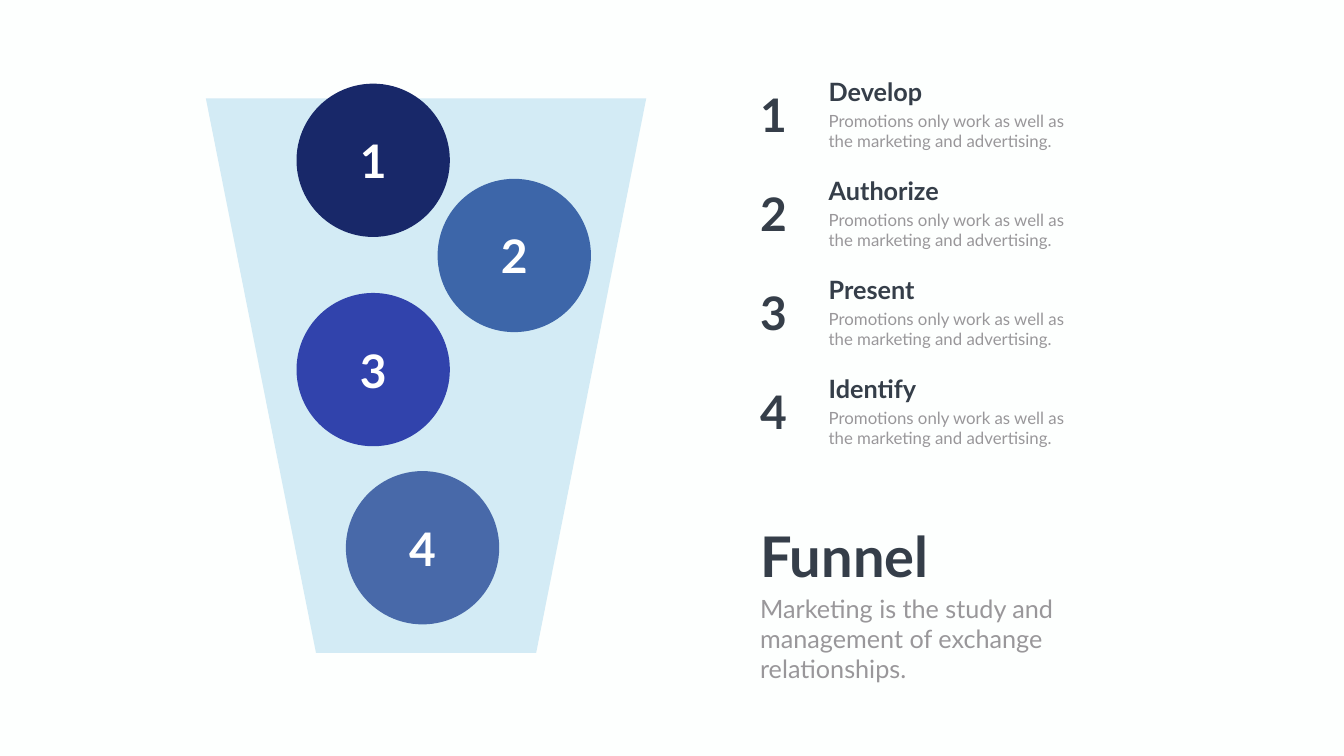
from dataclasses import dataclass

from pptx import Presentation
from pptx.dml.color import RGBColor
from pptx.enum.shapes import MSO_SHAPE as Shape
from pptx.enum.text import MSO_ANCHOR as Anchor, MSO_AUTO_SIZE as AutoSize, PP_ALIGN as Align
from pptx.util import Pt


@dataclass(frozen=True)
class Theme:
    font: str = "Lato"
    background: str = "FDFFFE"
    funnel: str = "D3EBF5"
    dark: str = "353E49"
    muted: str = "99979A"
    white: str = "FFFFFF"
    title_size: float = 80
    number_size: float = 66
    heading_size: float = 36
    body_size: float = 24


THEME = Theme()
DESCRIPTION = "Promotions only work as well as the marketing and advertising."
STEPS = ["Develop", "Authorize", "Present", "Identify"]
BALLS = [  # left, top, colour
    (423.5, 119.5, "182869"),
    (625, 255.5, "3D66A9"),
    (423.5, 418.5, "3143AC"),
    (494, 673, "4869A9"),
]
BALL_SIZE = 219
NUMBER_LEFT, HEADING_LEFT = 1078.5, 1176.5
FIRST_ROW, ROW_PITCH = 106, 141.3


def set_values(target, values):
    for name, value in values.items():
        setattr(target, name, value)


def write_text(box, text, size, color, bold=False, align=Align.LEFT,
               anchor=Anchor.TOP, wrap=True, fit=AutoSize.SHAPE_TO_FIT_TEXT):
    frame = box.text_frame
    set_values(frame, {"word_wrap": wrap, "auto_size": fit, "vertical_anchor": anchor})
    para = frame.paragraphs[0]
    para.alignment = align
    span = para.add_run()
    span.text = text
    set_values(span.font, {"name": THEME.font, "size": Pt(size), "bold": bold})
    span.font.color.rgb = RGBColor.from_string(color)


def add_text(page, place, text, size, color, bold=False):
    box = page.shapes.add_textbox(*map(Pt, place))
    write_text(box, text, size, color, bold)


def add_filled(page, kind, place, color):
    shape = page.shapes.add_shape(kind, *map(Pt, place))
    shape.shadow.inherit = False
    shape.fill.solid()
    shape.fill.fore_color.rgb = RGBColor.from_string(color)
    shape.line.fill.background()
    return shape


def add_ball(page, number, left, top, color):
    ball = add_filled(page, Shape.OVAL, (left, top, BALL_SIZE, BALL_SIZE), color)
    write_text(ball, str(number), THEME.number_size, THEME.white, True,
               Align.CENTER, Anchor.MIDDLE, fit=AutoSize.NONE)


def add_step(page, number, heading, top):
    add_text(page, (NUMBER_LEFT, top + 13.5, 50, 87), str(number),
             THEME.number_size, THEME.dark, True)
    add_text(page, (HEADING_LEFT, top, 188, 51), heading,
             THEME.heading_size, THEME.dark, True)
    add_text(page, (HEADING_LEFT, top + 49, 365, 65.5), DESCRIPTION,
             THEME.body_size, THEME.muted)


def set_title(page, place, text):
    title = page.shapes.title
    set_values(title, dict(zip(("left", "top", "width", "height"), map(Pt, place))))
    write_text(title, text, THEME.title_size, THEME.dark, True, wrap=False)


def main():
    deck = Presentation()
    set_values(deck, {"slide_width": Pt(1919.52), "slide_height": Pt(1080)})
    page = deck.slides.add_slide(deck.slide_layouts[5])
    page.background.fill.solid()
    page.background.fill.fore_color.rgb = RGBColor.from_string(THEME.background)

    # Funnel with its numbered balls
    funnel = add_filled(page, Shape.TRAPEZOID, (294, 140.5, 629, 792), THEME.funnel)
    funnel.rotation = 180
    for number, ball in enumerate(BALLS, 1):
        add_ball(page, number, *ball)

    # Step list
    for index, heading in enumerate(STEPS):
        add_step(page, index + 1, heading, FIRST_ROW + index * ROW_PITCH)

    # Title and summary
    set_title(page, (NUMBER_LEFT, 741, 261.5, 104.5), "Funnel")
    add_text(page, (NUMBER_LEFT, 844, 630, 94.5),
             "Marketing is the study and management of exchange relationships.",
             THEME.heading_size, THEME.muted)

    deck.save("out.pptx")


if __name__ == "__main__":
    main()
